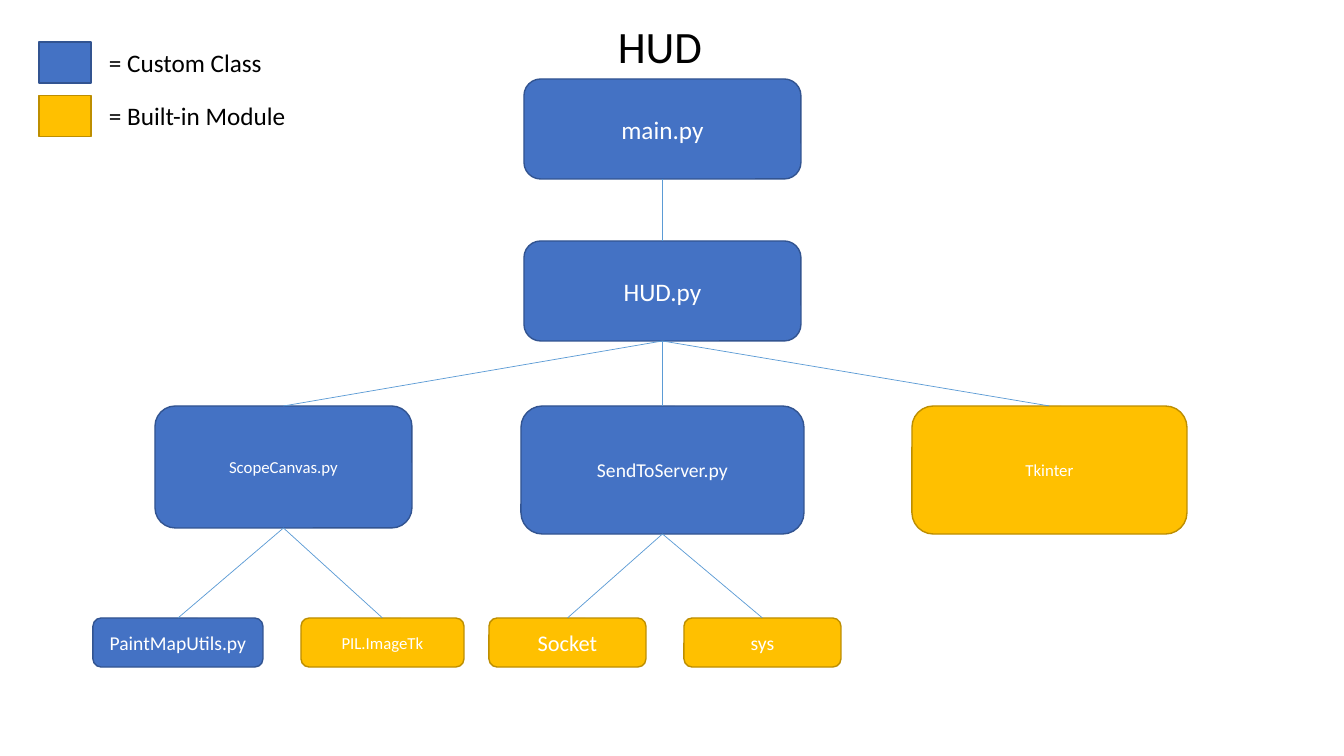
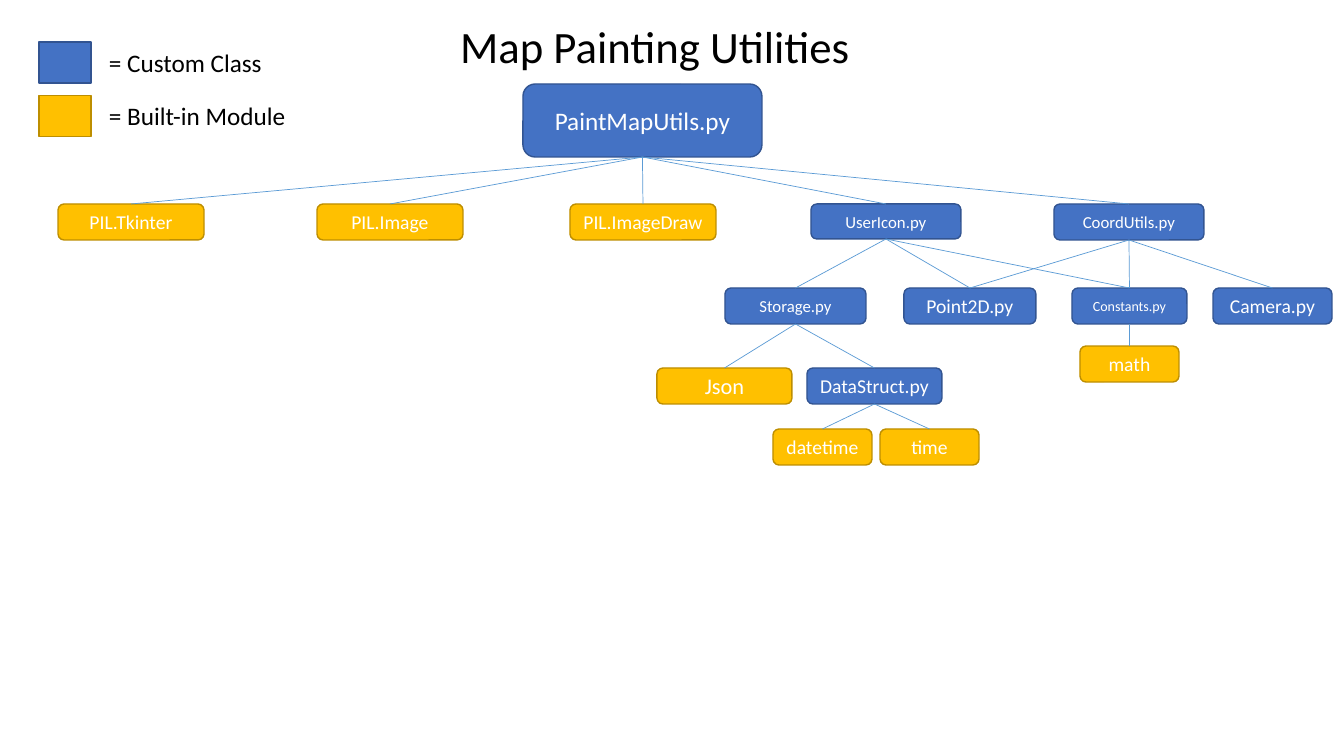
from lxml import etree
from pptx import Presentation
from pptx.dml.color import RGBColor
from pptx.enum import shapes, text
from pptx.oxml import ns
from pptx.util import Emu, Pt

SCALE = 914400 / 100.8
FONT = "Calibri"
COLORS = {
    "custom": "4472C4",
    "custom_edge": "325491",
    "builtin": "FFC000",
    "builtin_edge": "BD8E00",
    "link": "5B9BD5",
    "light": "FFFFFF",
    "dark": "000000",
}
TITLE_FRAME = {
    "word_wrap": True,
    "auto_size": text.MSO_AUTO_SIZE.NONE,
    "vertical_anchor": text.MSO_ANCHOR.TOP,
}
LABEL_FRAME = {"word_wrap": True, "vertical_anchor": text.MSO_ANCHOR.TOP}
NODE_FRAME = {"word_wrap": True, "vertical_anchor": text.MSO_ANCHOR.MIDDLE}
TITLE_BOX = (22, 14, 1276, 64)
LEGEND = [("custom", "= Custom Class"), ("builtin", "= Built-in Module")]
LEGEND_TOP, LEGEND_STEP = 42, 53.5

HUD_ROWS = [
    (79, 100, [("main.py", "custom", 524, 277, 18)]),
    (241, 100, [("HUD.py", "custom", 524, 277, 18)]),
    (406, 122, [("ScopeCanvas.py", "custom", 155, 257, 12)]),
    (406, 128, [
        ("SendToServer.py", "custom", 521, 283, 14),
        ("Tkinter", "builtin", 912, 275, 12),
    ]),
    (618, 49, [
        ("PaintMapUtils.py", "custom", 93, 170, 14),
        ("PIL.ImageTk", "builtin", 301, 163, 12),
        ("Socket", "builtin", 489, 157, 16),
        ("sys", "builtin", 684, 157, 14),
    ]),
]
HUD_IMPORTS = {
    "main.py": ["HUD.py"],
    "HUD.py": ["ScopeCanvas.py", "SendToServer.py", "Tkinter"],
    "ScopeCanvas.py": ["PaintMapUtils.py", "PIL.ImageTk"],
    "SendToServer.py": ["Socket", "sys"],
}
PAINTING_ROWS = [
    (84, 73, [("PaintMapUtils.py", "custom", 523, 239, 18)]),
    (204, 36, [
        ("PIL.Tkinter", "builtin", 58, 146, 14),
        ("PIL.Image", "builtin", 317, 146, 14),
        ("PIL.ImageDraw", "builtin", 570, 146, 14),
        ("CoordUtils.py", "custom", 1054, 150, 12),
    ]),
    (204, 35, [("UserIcon.py", "custom", 811, 150, 12)]),
    (288, 36, [
        ("Storage.py", "custom", 725, 141, 12),
        ("Point2D.py", "custom", 904, 132, 14),
        ("Constants.py", "custom", 1072, 115, 10),
        ("Camera.py", "custom", 1213, 119, 14),
    ]),
    (346, 36, [("math", "builtin", 1080, 99, 14)]),
    (368, 36, [
        ("Json", "builtin", 657, 135, 16),
        ("DataStruct.py", "custom", 807, 135, 14),
    ]),
    (429, 36, [
        ("datetime", "builtin", 773, 99, 14),
        ("time", "builtin", 880, 99, 14),
    ]),
]
PAINTING_IMPORTS = {
    "PaintMapUtils.py": [
        "PIL.Tkinter", "PIL.Image", "PIL.ImageDraw", "UserIcon.py", "CoordUtils.py",
    ],
    "UserIcon.py": ["Storage.py", "Point2D.py", "Constants.py"],
    "CoordUtils.py": ["Point2D.py", "Constants.py", "Camera.py"],
    "Storage.py": ["Json", "DataStruct.py"],
    "DataStruct.py": ["datetime", "time"],
    "Constants.py": ["math"],
}


def px(*lengths):
    return [Emu(round(length * SCALE)) for length in lengths]


def color(name):
    return RGBColor.from_string(COLORS[name])


def apply(target, values):
    for name, value in values.items():
        setattr(target, name, value)


def write(shape, words, size, ink, align, frame_format):
    frame = shape.text_frame
    apply(frame, frame_format)
    paragraph = frame.paragraphs[0]
    paragraph.alignment = align
    run = paragraph.add_run()
    run.text = words
    apply(run.font, {"name": FONT, "size": Pt(size), "bold": False})
    run.font.color.rgb = color(ink)


def add_title(slide, words):
    title = slide.shapes.title
    apply(title, dict(zip(("left", "top", "width", "height"), px(*TITLE_BOX))))
    write(title, words, 32, "dark", text.PP_ALIGN.CENTER, TITLE_FRAME)


def add_box(slide, preset, kind, box):
    shape = slide.shapes.add_shape(preset, *px(*box))
    shape.shadow.inherit = False
    shape.fill.solid()
    shape.fill.fore_color.rgb = color(kind)
    shape.line.color.rgb = color(kind + "_edge")
    shape.line.width = Pt(1)
    return shape


def add_node(slide, words, kind, box, size):
    shape = add_box(slide, shapes.MSO_SHAPE.ROUNDED_RECTANGLE, kind, box)
    write(shape, words, size, "light", text.PP_ALIGN.CENTER, NODE_FRAME)
    return shape


def add_link(slide, parent, child):
    link = slide.shapes.add_connector(shapes.MSO_CONNECTOR.STRAIGHT, 0, 0, 0, 0)
    link.begin_connect(parent, 2)
    link.end_connect(child, 0)
    link.line.color.rgb = color("link")
    link.line.width = Pt(0.5)
    etree.SubElement(link._element.spPr, ns.qn("a:effectLst"))


def add_legend(slide):
    for index, (kind, words) in enumerate(LEGEND):
        top = LEGEND_TOP + index * LEGEND_STEP
        add_box(slide, shapes.MSO_SHAPE.RECTANGLE, kind, (39, top, 52, 41))
        label = slide.shapes.add_textbox(*px(99, top, 297, 40))
        write(label, words, 18, "dark", text.PP_ALIGN.LEFT, LABEL_FRAME)


def add_tree(slide, rows, imports):
    nodes = {}
    for top, height, row in rows:
        for name, kind, left, width, size in row:
            nodes[name] = add_node(slide, name, kind, (left, top, width, height), size)
    for parent, children in imports.items():
        for child in children:
            add_link(slide, nodes[parent], nodes[child])


def add_diagram(presentation, title, rows, imports):
    slide = presentation.slides.add_slide(presentation.slide_layouts[5])
    add_title(slide, title)
    add_tree(slide, rows, imports)
    add_legend(slide)


def main():
    presentation = Presentation()
    presentation.slide_width, presentation.slide_height = px(1344, 756)
    add_diagram(presentation, "HUD", HUD_ROWS, HUD_IMPORTS)
    add_diagram(presentation, "Map Painting Utilities ", PAINTING_ROWS, PAINTING_IMPORTS)
    presentation.save("out.pptx")


main()
